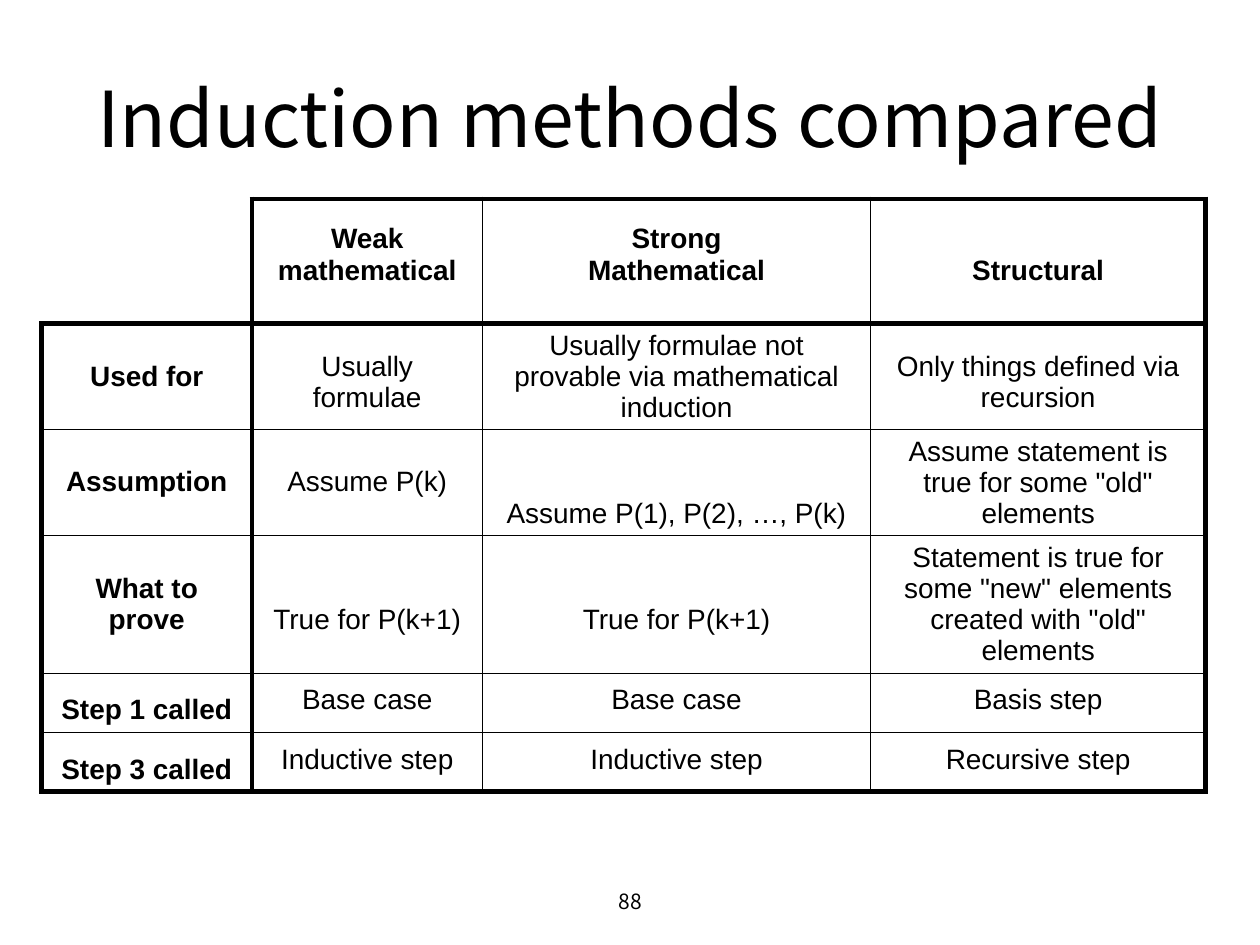
from dataclasses import dataclass

import pptx
import pptx.dml.color
import pptx.enum.text
import pptx.oxml.xmlchemy
import pptx.util
from lxml import etree
from pptx.oxml.ns import qn
from pptx.util import Inches

TITLE_FONT = "Noto Sans CJK KR"
TABLE_FONT = "Arial"
BLACK = "000000"
THICK, THIN = 3, 0.5
MIDDLE = pptx.enum.text.MSO_ANCHOR.MIDDLE
BOTTOM = pptx.enum.text.MSO_ANCHOR.BOTTOM

COLUMN_WIDTHS = [1.67, 1.83, 3.08, 2.66]
ROW_HEIGHTS = [0.99, 0.84, 0.84, 1.09, 0.47, 0.47]
LINE, HALF_STEP = 0.25, 0.08  # distances a text is raised from the cell bottom


@dataclass
class Entry:
    text: str
    lift: float = 0


ROWS = [
    [Entry(""), Entry("Weak mathematical", LINE),
     Entry("Strong\nMathematical", LINE), Entry("Structural", LINE)],
    [Entry("Used for", LINE), Entry("Usually formulae", HALF_STEP),
     Entry("Usually formulae not provable via mathematical induction"),
     Entry("Only things defined via recursion", HALF_STEP)],
    [Entry("Assumption", LINE), Entry("Assume P(k)", LINE),
     Entry("Assume P(1), P(2), …, P(k)"),
     Entry('Assume statement is true for some "old" elements')],
    [Entry("What to prove", LINE), Entry("True for P(k+1)", LINE),
     Entry("True for P(k+1)", LINE),
     Entry('Statement is true for some "new" elements created with "old" elements')],
    [Entry("Step 1 called"), Entry("Base case", HALF_STEP),
     Entry("Base case", HALF_STEP), Entry("Basis step", HALF_STEP)],
    [Entry("Step 3 called"), Entry("Inductive step", HALF_STEP),
     Entry("Inductive step", HALF_STEP), Entry("Recursive step", HALF_STEP)],
]


def color(value: str) -> pptx.dml.color.RGBColor:
    return pptx.dml.color.RGBColor.from_string(value)


def write(frame, text: str, font: str, size: float, bold: bool = False) -> None:
    """Fill a text frame with centred black text."""
    frame.text = text
    frame.word_wrap = True
    for paragraph in frame.paragraphs:
        paragraph.alignment = pptx.enum.text.PP_ALIGN.CENTER
        for span in paragraph.runs:
            span.font.name = font
            span.font.size = pptx.util.Pt(size)
            span.font.bold = bold
            span.font.color.rgb = color(BLACK)


def edge_widths(row: int, column: int) -> dict[str, float]:
    """Thick lines frame the table and its headings; the empty corner is open."""
    corner = row == 0 and column == 0
    outer = 0 if corner else THICK
    return {
        "lnL": outer if column == 0 else THICK if column == 1 else THIN,
        "lnR": THICK if column in (0, len(COLUMN_WIDTHS) - 1) else THIN,
        "lnT": outer if row == 0 else THICK if row == 1 else THIN,
        "lnB": THICK if row in (0, len(ROWS) - 1) else THIN,
    }


def draw_borders(cell, widths: dict[str, float]) -> None:
    properties = cell._tc.get_or_add_tcPr()
    for position, (tag, width) in enumerate(widths.items()):
        line = etree.Element(qn(f"a:{tag}"), w=str(pptx.util.Pt(width)))
        if width:
            fill = etree.SubElement(line, qn("a:solidFill"))
            etree.SubElement(fill, qn("a:srgbClr"), val=BLACK)
        else:
            etree.SubElement(line, qn("a:noFill"))
        properties.insert(position, line)


def draw_cell(cell, entry: Entry, row: int, column: int) -> None:
    write(cell.text_frame, entry.text, TABLE_FONT, 16, bold=row == 0 or column == 0)
    cell.vertical_anchor = BOTTOM
    cell.margin_left = cell.margin_right = Inches(0.12)
    cell.margin_top = Inches(0.05)
    cell.margin_bottom = Inches(0.05 + entry.lift)
    cell.fill.background()
    draw_borders(cell, edge_widths(row, column))


def draw_table(page) -> None:
    frame = page.shapes.add_table(
        len(ROWS), len(COLUMN_WIDTHS), Inches(0.33), Inches(1.58),
        Inches(sum(COLUMN_WIDTHS)), Inches(sum(ROW_HEIGHTS)))
    table = frame.table
    table.first_row = table.horz_banding = False
    for column, width in zip(table.columns, COLUMN_WIDTHS):
        column.width = Inches(width)
    for row, height in zip(table.rows, ROW_HEIGHTS):
        row.height = Inches(height)
    for row, entries in enumerate(ROWS):
        for column, entry in enumerate(entries):
            draw_cell(table.cell(row, column), entry, row, column)


def main() -> None:
    deck = pptx.Presentation()
    deck.slide_width, deck.slide_height = Inches(10), Inches(7.5)
    page = deck.slides.add_slide(deck.slide_layouts[5])

    # Title
    title = page.shapes.title
    title.left, title.top = Inches(0.5), Inches(0.3)
    title.width, title.height = Inches(9), Inches(1.25)
    write(title.text_frame, "Induction methods compared", TITLE_FONT, 44)
    title.text_frame.vertical_anchor = MIDDLE
    title.text_frame.auto_size = pptx.enum.text.MSO_AUTO_SIZE.NONE

    # Comparison table
    draw_table(page)

    # Page number
    box = page.shapes.add_textbox(Inches(3.42), Inches(6.95), Inches(3.17), Inches(0.4))
    write(box.text_frame, "88", TITLE_FONT, 12)
    box.text_frame.vertical_anchor = MIDDLE

    deck.save("out.pptx")


if __name__ == "__main__":
    main()
